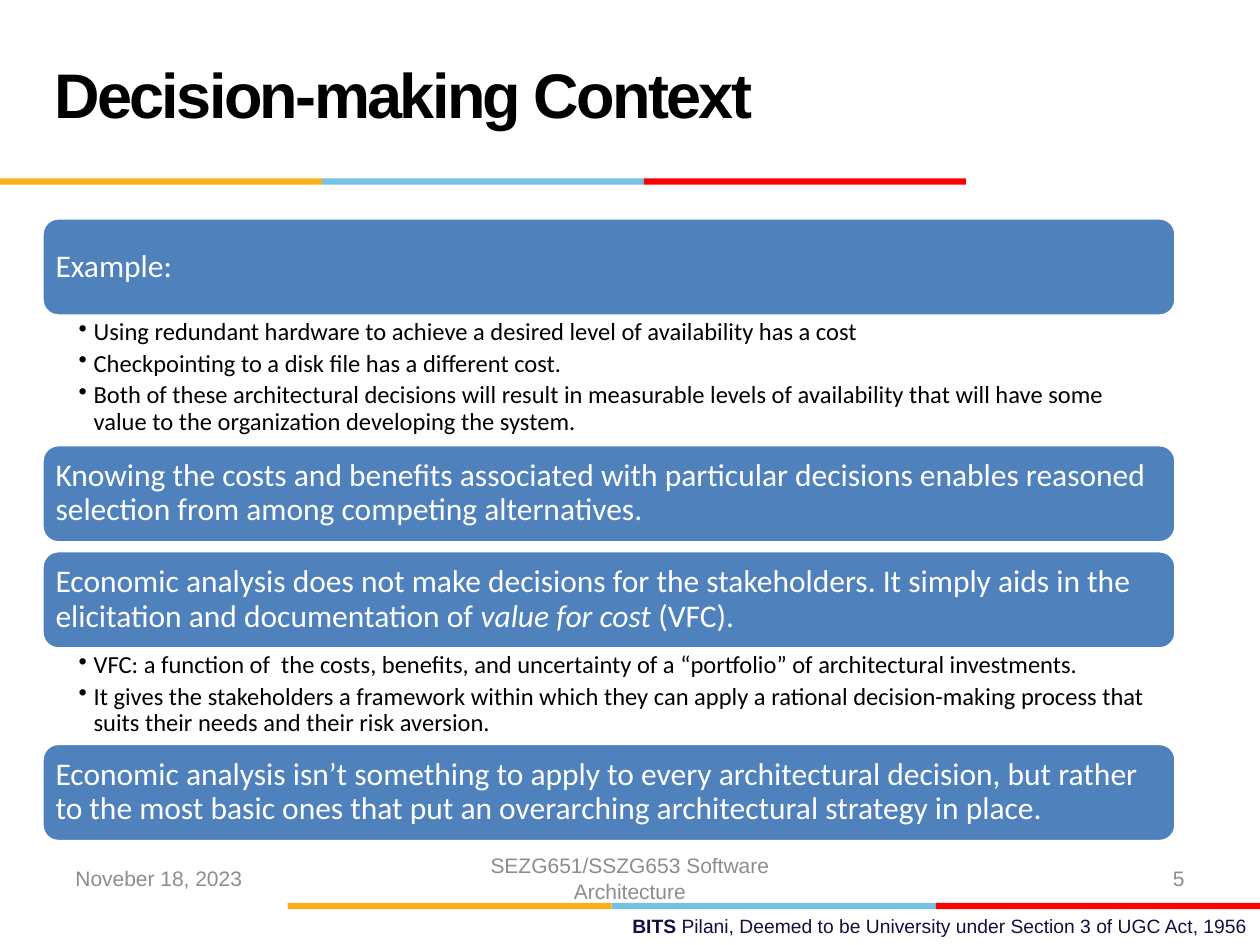
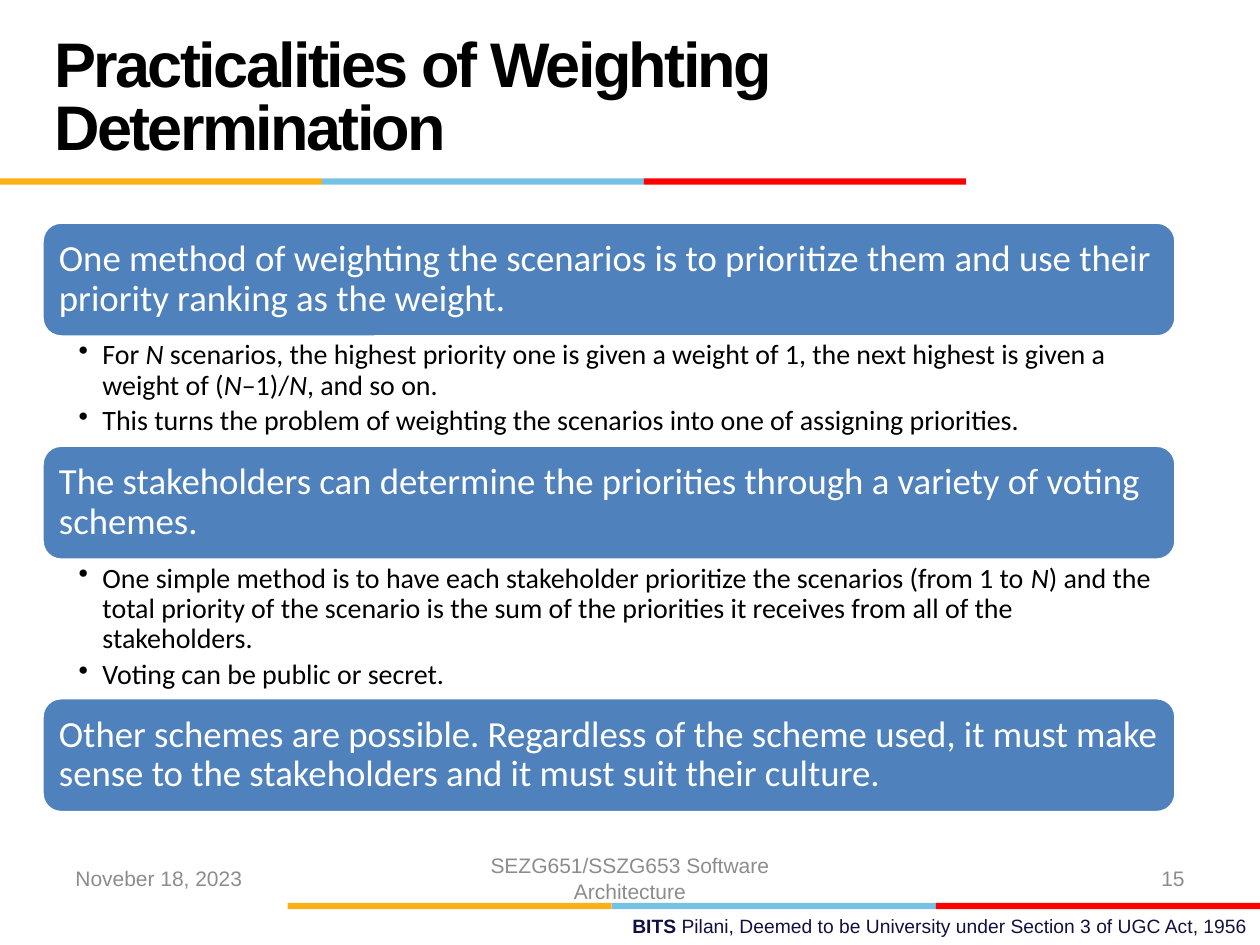
from pptx import Presentation
from pptx import util as u
from pptx.dml.color import RGBColor
from pptx.enum import shapes, text
from lxml import etree
from pptx.oxml import ns

COLORS = {
    "banner": "4F81BD", "white": "FFFFFF", "black": "000000", "grey": "8C8C8C",
    "navy": "101141", "gold": "FCB017", "sky": "76C2E5", "red": "FF0000",
}
COLS, ROWS = 120, 90
prs = Presentation()
prs.slide_width, prs.slide_height = u.Inches(10), u.Inches(7.5)

TITLE_BOX = (4, 2, 83, 15)
TITLE_BARS = (0, 17, 92, 0.6)
FOOTER_BOX = (6, 81.25, 108, 4.75)
FOOTER_BARS = (27.4, 86, 92.6, 0.6)
IMPRINT_BOX = (43, 86.5, 77, 3.5)


def grid(box):
    """Turn columns and rows into slide lengths."""
    x, y, w, h = box
    col, row = prs.slide_width / COLS, prs.slide_height / ROWS
    return [round(v) for v in (x * col, y * row, w * col, h * row)]


def rgb(name):
    """Look up a named colour."""
    return RGBColor.from_string(COLORS[name])


def add_bullet(p, hang):
    """Give a paragraph a round bullet with a hanging indent in inches."""
    pPr = p._p.get_or_add_pPr()
    pPr.set("marL", str(u.Inches(hang)))
    pPr.set("indent", str(-u.Inches(hang)))
    etree.SubElement(pPr, ns.qn("a:buChar")).set("char", "•")


def write(sp, *lines, size=12, font="Arial", color="black", bold=False,
          accent="italic", align="LEFT", anchor="MIDDLE", spacing=None,
          after=0, tracking=None, hang=None, insets=(0.1, 0.05, 0.1, 0.05)):
    """Fill a shape with paragraphs; parts between asterisks take the accent."""
    tf = sp.text_frame
    tf.word_wrap = True
    tf.vertical_anchor = getattr(text.MSO_ANCHOR, anchor)
    sides = [u.Inches(v) for v in insets]
    tf.margin_left, tf.margin_top, tf.margin_right, tf.margin_bottom = sides
    for i, line in enumerate(lines):
        p = tf.add_paragraph() if i else tf.paragraphs[0]
        if hang:
            add_bullet(p, hang)
        p.alignment = getattr(text.PP_ALIGN, align)
        p.line_spacing = spacing
        p.space_after = u.Pt(after)
        for j, part in enumerate(line.split("*")):
            if not part:
                continue
            r = p.add_run()
            r.text = part
            r.font.size, r.font.name, r.font.bold = u.Pt(size), font, bold
            r.font.color.rgb = rgb(color)
            if j % 2:
                setattr(r.font, accent, True)
            if tracking:
                r._r.get_or_add_rPr().set("spc", str(round(tracking * 100)))


def add_text(s, box, *lines, **fmt):
    """Place a text box and write into it."""
    write(s.shapes.add_textbox(*grid(box)), *lines, **fmt)


def add_block(s, kind, box, fill, line=None):
    """Place a flat filled shape, outlined if a line colour is given."""
    sp = s.shapes.add_shape(getattr(shapes.MSO_SHAPE, kind), *grid(box))
    sp.shadow.inherit = False
    sp.fill.solid()
    sp.fill.fore_color.rgb = rgb(fill)
    if line:
        sp.line.color.rgb, sp.line.width = rgb(line), u.Pt(2)
    else:
        sp.line.fill.background()
    return sp


def add_bars(s, box):
    """Split a thin box into gold, sky and red thirds."""
    x, y, w, h = box
    for i, color in enumerate(("gold", "sky", "red")):
        add_block(s, "RECTANGLE", (x + i * w / 3, y, w / 3, h), color)


def add_footer(s, box, number):
    """Place date, course and slide number across the box."""
    x, y, w, h = box
    parts = [("Noveber 18, 2023", 0, 28, "LEFT"),
             ("SEZG651/SSZG653 Software Architecture", (w - 38) / 2, 38, "CENTER"),
             (str(number), w - 28, 28, "RIGHT")]
    for words, dx, width, align in parts:
        add_text(s, (x + dx, y, width, h), words, color="grey", align=align)


def add_sections(s, box, sections, banner_h, gap, size, sub_size, pad, hang, right):
    """Stack banners down the box, each followed by its bullets or a gap."""
    x, y, w, _ = box
    for heading, bullets_h, bullets in sections:
        sp = add_block(s, "ROUNDED_RECTANGLE", (x, y, w, banner_h), "banner", "white")
        write(sp, heading, size=size, font="Calibri", color="white",
              spacing=0.9, insets=(pad,) * 4)
        y += banner_h
        if bullets:
            add_text(s, (x, y, w, bullets_h), *bullets, size=sub_size,
                     font="Calibri", anchor="TOP", spacing=0.9,
                     after=0.2 * sub_size, hang=hang,
                     insets=(0.29, 0.03, right, 0.03))
        y += bullets_h if bullets else gap


def add_content_slide(title, number, box, sections, **style):
    """Build one slide with the shared title, bars and footer."""
    s = prs.slides.add_slide(prs.slide_layouts[6])
    add_text(s, IMPRINT_BOX,
             "*BITS* Pilani, Deemed to be University under Section 3 of UGC Act, 1956",
             size=11, color="navy", accent="bold", align="RIGHT", anchor="TOP")
    add_bars(s, FOOTER_BARS)
    add_bars(s, TITLE_BARS)
    add_sections(s, box, sections, **style)
    add_text(s, TITLE_BOX, title, size=36, bold=True, spacing=u.Pt(36), tracking=-1.5)
    add_footer(s, FOOTER_BOX, number)


CONTEXT = [
    ("Example:", 12.25, [
        "Using redundant hardware to achieve a desired level of availability has a cost",
        "Checkpointing to a disk file has a different cost.",
        "Both of these architectural decisions will result in measurable levels of "
        "availability that will have some value to the organization developing the system.",
    ]),
    ("Knowing the costs and benefits associated with particular decisions enables "
     "reasoned selection from among competing alternatives.", 0, []),
    ("Economic analysis does not make decisions for the stakeholders. It simply aids in "
     "the elicitation and documentation of *value for cost* (VFC).", 9, [
         "VFC: a function of  the costs, benefits, and uncertainty of a “portfolio” of "
         "architectural investments.",
         "It gives the stakeholders a framework within which they can apply a rational "
         "decision-making process that suits their needs and their risk aversion.",
     ]),
    ("Economic analysis isn’t something to apply to every architectural decision, but "
     "rather to the most basic ones that put an overarching architectural strategy in "
     "place.", 0, []),
]
WEIGHTING = [
    ("One method of weighting the scenarios is to prioritize them and use their priority "
     "ranking as the weight.", 10.3, [
         "For *N* scenarios, the highest priority one is given a weight of 1, the next "
         "highest is given a weight of (*N*–1)/*N*, and so on.",
         "This turns the problem of weighting the scenarios into one of assigning "
         "priorities.",
     ]),
    ("The stakeholders can determine the priorities through a variety of voting schemes.",
     13.1, [
         "One simple method is to have each stakeholder prioritize the scenarios (from 1 "
         "to *N*) and the total priority of the scenario is the sum of the priorities it "
         "receives from all of the stakeholders.",
         "Voting can be public or secret.",
     ]),
    ("Other schemes are possible. Regardless of the scheme used, it must make sense to "
     "the stakeholders and it must suit their culture.", 0, []),
]


def main():
    """Build both slides and save the deck."""
    add_content_slide("Decision-making Context", 5, (4, 20.75, 108, 59.4), CONTEXT,
                      banner_h=9.35, gap=0.75, size=18, sub_size=14,
                      pad=0.07, hang=0.12, right=0.14)
    add_content_slide("Practicalities of Weighting Determination", 15,
                      (4, 21.15, 108, 56.25), WEIGHTING,
                      banner_h=10.95, gap=0.75, size=21, sub_size=16,
                      pad=0.09, hang=0.19, right=0.16)
    prs.save("out.pptx")


if __name__ == "__main__":
    main()
